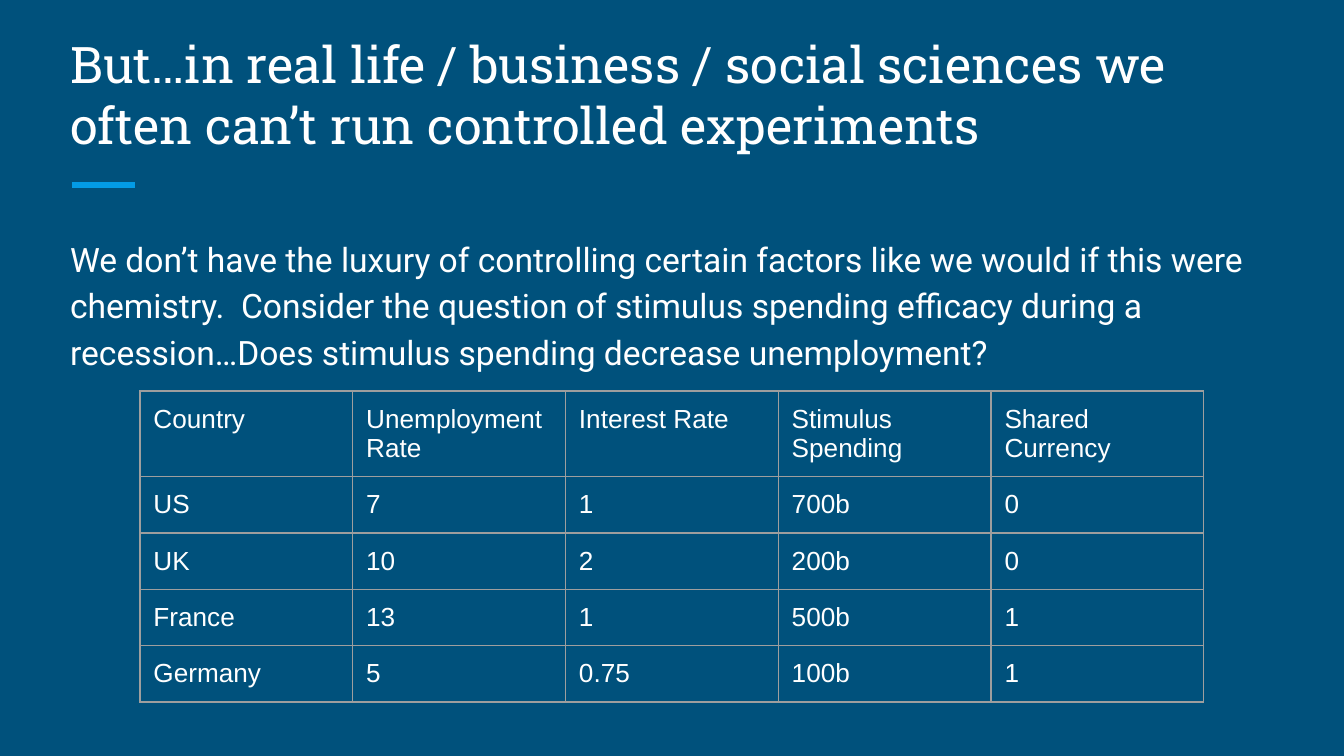
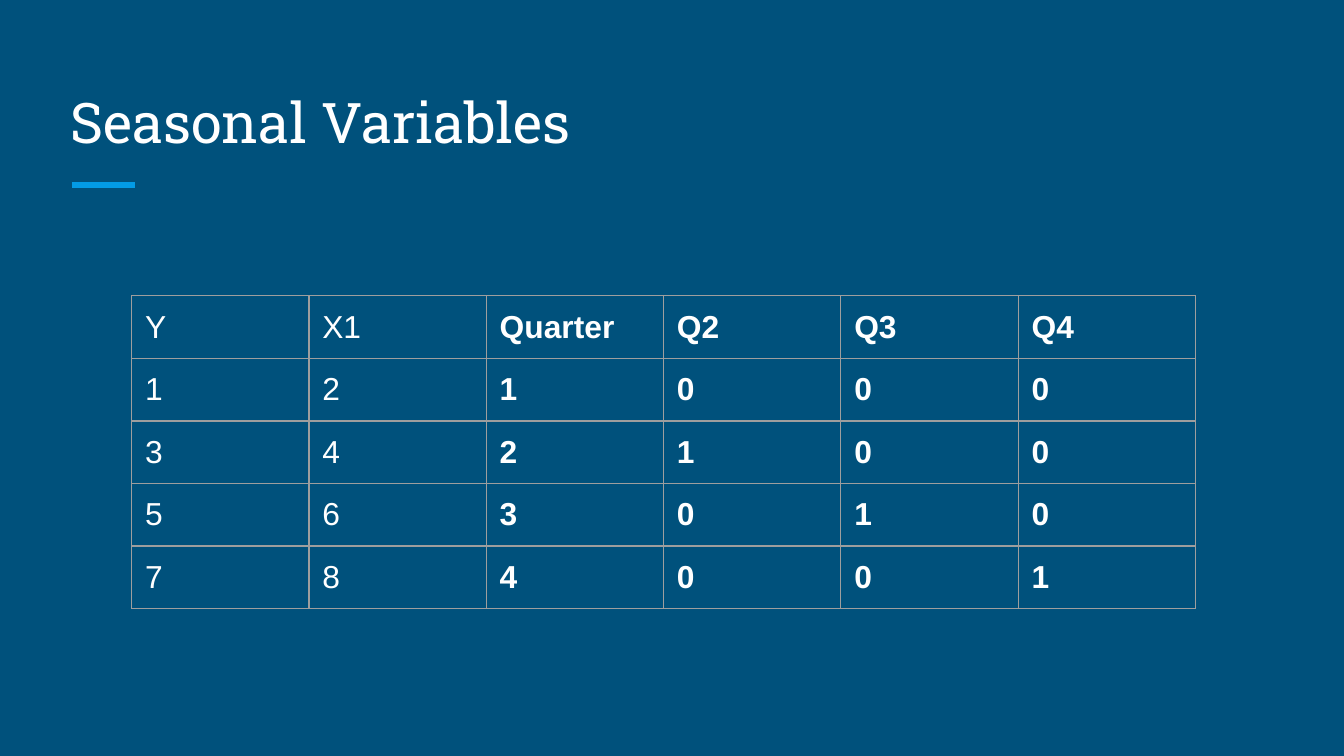
from lxml import etree
from pptx import Presentation
from pptx.dml.color import RGBColor
from pptx.enum.shapes import MSO_CONNECTOR
from pptx.enum.text import MSO_ANCHOR, MSO_AUTO_SIZE, PP_ALIGN
from pptx.oxml import parse_xml
from pptx.oxml.ns import nsdecls, qn
from pptx.util import Pt

STRAIGHT = MSO_CONNECTOR.STRAIGHT
TOP, BOTTOM = MSO_ANCHOR.TOP, MSO_ANCHOR.BOTTOM
NO_AUTOFIT = MSO_AUTO_SIZE.NONE
LEFT = PP_ALIGN.LEFT

# Shared look
BACKGROUND, ACCENT, TEXT, BORDER = "00517C", "039BE5", "FFFFFF", "9E9E9E"
TITLE_FONT, BODY_FONT, TABLE_FONT = "Roboto Slab", "Roboto", "Arial"
MARGIN_LEFT, CONTENT_WIDTH = 30.5, 658.5
INSET = 7.2
TABLE_WIDTH, ROW_HEIGHT = 570, 30
TITLE_ONLY = 5

COUNTRY_ROWS = [
    ["Country", "Unemployment Rate", "Interest Rate", "Stimulus Spending", "Shared Currency"],
    ["US", "7", "1", "700b", "0"],
    ["UK", "10", "2", "200b", "0"],
    ["France", "13", "1", "500b", "1"],
    ["Germany", "5", "0.75", "100b", "1"],
]
SEASON_ROWS = [
    ["Y", "X1", "Quarter", "Q2", "Q3", "Q4"],
    ["1", "2", "1", "0", "0", "0"],
    ["3", "4", "2", "1", "0", "0"],
    ["5", "6", "3", "0", "1", "0"],
    ["7", "8", "4", "0", "0", "1"],
]


def color(hex_value):
    return RGBColor.from_string(hex_value)


def set_attributes(target, values):
    for name, value in values.items():
        setattr(target, name, value)


def set_margins(target):
    for side in ("left", "right", "top", "bottom"):
        setattr(target, f"margin_{side}", Pt(INSET))


def format_paragraph(paragraph, font_name, size, bold=False, line_spacing=1.0):
    set_attributes(paragraph, {"alignment": LEFT, "line_spacing": line_spacing})
    set_attributes(paragraph.font, {"name": font_name, "size": Pt(size), "bold": bold})
    paragraph.font.color.rgb = color(TEXT)


def fill_text(shape, text, font_name, size, anchor, line_spacing=1.0):
    frame = shape.text_frame
    frame.text = text
    set_attributes(frame, {"word_wrap": True, "auto_size": NO_AUTOFIT,
                           "vertical_anchor": anchor})
    set_margins(frame)
    format_paragraph(frame.paragraphs[0], font_name, size, line_spacing=line_spacing)


def add_accent_line(slide):
    line = slide.shapes.add_connector(STRAIGHT, Pt(38.5), Pt(99), Pt(72.5), Pt(99))
    line.line.color.rgb = color(ACCENT)
    line.line.width = Pt(3)
    etree.SubElement(line._element.spPr, qn("a:effectLst"))


def add_titled_slide(presentation, title, size):
    slide = presentation.slides.add_slide(presentation.slide_layouts[TITLE_ONLY])
    add_accent_line(slide)
    set_attributes(slide.shapes.title, {"left": Pt(MARGIN_LEFT), "top": Pt(36),
                                        "width": Pt(CONTENT_WIDTH), "height": Pt(54)})
    fill_text(slide.shapes.title, title, TITLE_FONT, size, BOTTOM)
    return slide


def add_body(slide, text):
    box = slide.shapes.add_textbox(Pt(MARGIN_LEFT), Pt(117.5), Pt(CONTENT_WIDTH), Pt(242.5))
    fill_text(box, text, BODY_FONT, 18, TOP, line_spacing=1.15)


def add_borders(cell):
    properties = cell._tc.get_or_add_tcPr()
    for index, edge in enumerate(("lnL", "lnR", "lnT", "lnB")):
        # Borders come before the fill in the cell properties
        properties.insert(index, parse_xml(
            f'<a:{edge} {nsdecls("a")} w="{Pt(0.75)}"><a:solidFill>'
            f'<a:srgbClr val="{BORDER}"/></a:solidFill></a:{edge}>'))


def add_data_table(slide, rows, left, top, size, bold_from=None):
    """Equal columns; columns from bold_from onwards are bold."""
    column_count = len(rows[0])
    table = slide.shapes.add_table(len(rows), column_count, Pt(left), Pt(top),
                                   Pt(TABLE_WIDTH), Pt(ROW_HEIGHT * len(rows))).table
    set_attributes(table, {"first_row": False, "horz_banding": False})
    for row_index, row in enumerate(rows):
        for column_index, text in enumerate(row):
            cell = table.cell(row_index, column_index)
            cell.text = text
            cell.fill.background()
            set_margins(cell)
            add_borders(cell)
            bold = bold_from is not None and column_index >= bold_from
            format_paragraph(cell.text_frame.paragraphs[0], TABLE_FONT, size, bold)


def main():
    presentation = Presentation()
    set_attributes(presentation, {"slide_width": Pt(720), "slide_height": Pt(405)})
    background = presentation.slide_master.background.fill
    background.solid()
    background.fore_color.rgb = color(BACKGROUND)

    # Uncontrolled factors
    slide = add_titled_slide(
        presentation,
        "But…in real life / business / social sciences we often can’t run controlled experiments",
        27)
    add_body(slide, "We don’t have the luxury of controlling certain factors like we would "
                    "if this were chemistry.  Consider the question of stimulus spending "
                    "efficacy during a recession…Does stimulus spending decrease unemployment?")
    add_data_table(slide, COUNTRY_ROWS, 75, 209.5, 14)

    # Quarter dummies
    slide = add_titled_slide(presentation, "Seasonal Variables", 30)
    add_data_table(slide, SEASON_ROWS, 70.5, 158.5, 17, bold_from=2)

    presentation.save("out.pptx")


if __name__ == "__main__":
    main()
